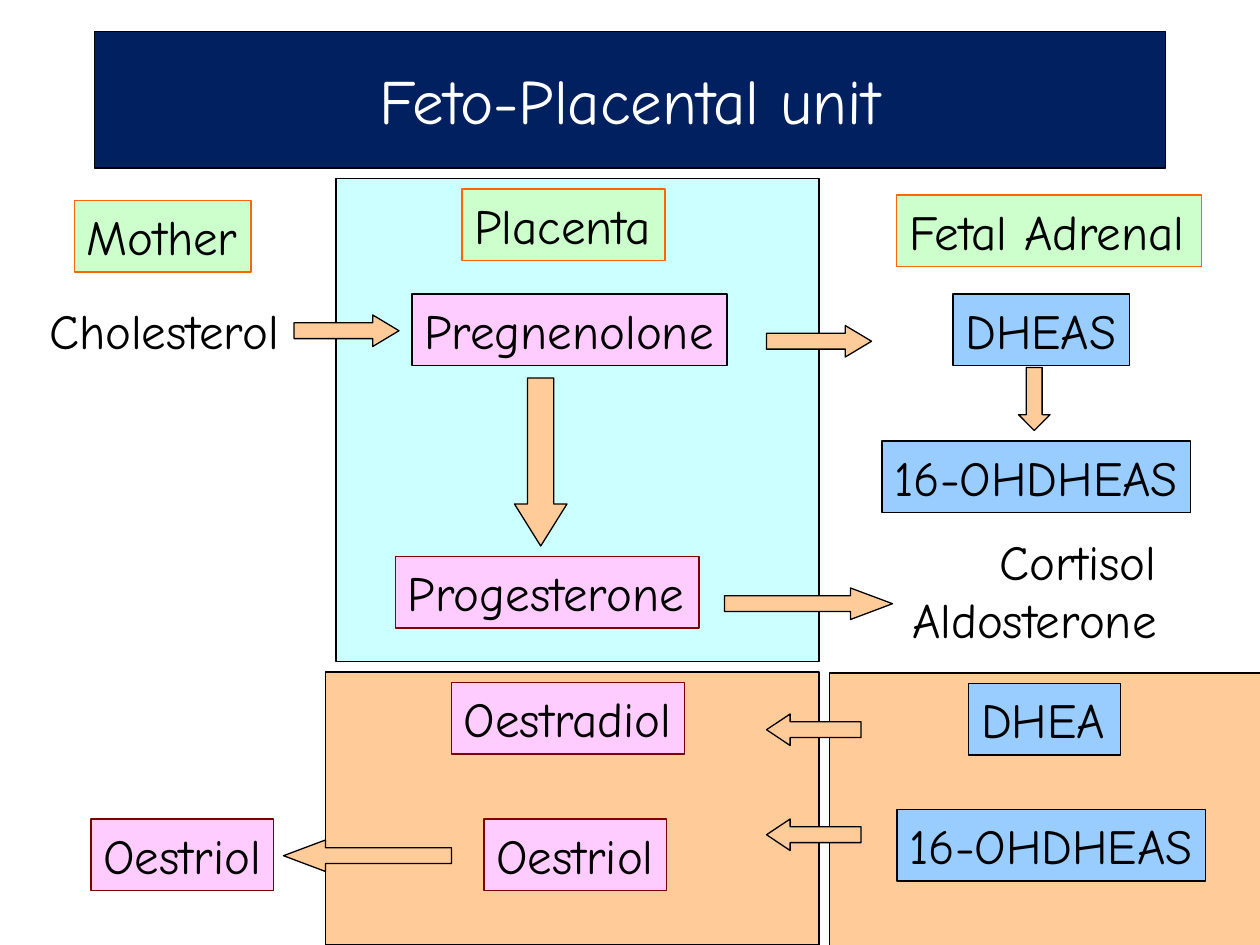
from dataclasses import dataclass

from pptx import Presentation
from pptx.dml.color import RGBColor
from pptx.enum.shapes import MSO_SHAPE
from pptx.enum.text import MSO_ANCHOR, MSO_AUTO_SIZE, PP_ALIGN
from pptx.util import Pt

RECT = MSO_SHAPE.RECTANGLE
RIGHT, LEFT, DOWN = MSO_SHAPE.RIGHT_ARROW, MSO_SHAPE.LEFT_ARROW, MSO_SHAPE.DOWN_ARROW
ALIGN_LEFT, ALIGN_CENTER, ALIGN_RIGHT = PP_ALIGN.LEFT, PP_ALIGN.CENTER, PP_ALIGN.RIGHT
TOP, MIDDLE = MSO_ANCHOR.TOP, MSO_ANCHOR.MIDDLE
NO_FIT, GROW = MSO_AUTO_SIZE.NONE, MSO_AUTO_SIZE.SHAPE_TO_FIT_TEXT


@dataclass(frozen=True)
class Theme:
    """Colours, type and line sizes of the slide."""
    font: str = "Comic Neue"
    title_size: int = 36
    label_size: int = 28
    label_height: int = 41
    line_width: float = 0.75
    black: str = "000000"
    white: str = "FFFFFF"
    navy: str = "002060"
    peach: str = "FFCC99"
    aqua: str = "CCFFFF"
    green: str = "CCFFCC"
    orange: str = "FF6600"
    blue: str = "99CCFF"
    pink: str = "FFCCFF"
    maroon: str = "800000"


T = Theme()
HEADING = {"fill": T.green, "line": T.orange}
FETAL = {"fill": T.blue, "line": T.black}
PRECURSOR = {"fill": T.pink, "line": T.black}
HORMONE = {"fill": T.pink, "line": T.maroon}


def paint(sp, fill, line):
    """Give a shape its fill and outline."""
    sp.fill.solid()
    sp.fill.fore_color.rgb = RGBColor.from_string(fill)
    sp.line.color.rgb = RGBColor.from_string(line)
    sp.line.width = Pt(T.line_width)


def write(tf, text, size=T.label_size, color=T.black, align=ALIGN_LEFT,
          anchor=TOP, wrap=False, fit=GROW):
    """Write text into a frame, one paragraph per line."""
    tf.text = text
    tf.word_wrap, tf.auto_size, tf.vertical_anchor = wrap, fit, anchor
    for p in tf.paragraphs:
        p.alignment = align
        for r in p.runs:
            r.font.name, r.font.size = T.font, Pt(size)
            r.font.color.rgb = RGBColor.from_string(color)


def add_block(slide, kind, box, fill):
    """Add a black-outlined preset shape."""
    sp = slide.shapes.add_shape(kind, *map(Pt, box))
    sp.shadow.inherit = False
    paint(sp, fill, T.black)
    return sp


def add_arrow(slide, kind, box):
    """Add a block arrow whose head takes a quarter of its length."""
    sp = add_block(slide, kind, box, T.peach)
    sides = box[2:]
    sp.adjustments[0] = 0.5
    sp.adjustments[1] = max(sides) / 4 / min(sides)


def add_labels(slide, box, labels):
    """Place labels given as text, offset x, offset y, width and style."""
    for text, dx, dy, width, style in labels:
        sp = slide.shapes.add_textbox(Pt(box[0] + dx), Pt(box[1] + dy),
                                      Pt(width), Pt(T.label_height))
        if style:
            paint(sp, **style)
        write(sp.text_frame, text)


def title_bar(slide, box):
    """Set the title in a dark bar."""
    sp = slide.shapes.title
    sp.left, sp.top, sp.width, sp.height = map(Pt, box)
    paint(sp, T.navy, T.black)
    write(sp.text_frame, "Feto-Placental unit", size=T.title_size, color=T.white,
          align=ALIGN_CENTER, anchor=MIDDLE, wrap=True, fit=NO_FIT)


def mother(slide, box):
    """Fill the mother column."""
    add_labels(slide, box, [
        ("Mother", 42.5, 12.5, 101, HEADING),
        ("Cholesterol", 21, 66, 147, None),
        ("Oestriol", 52, 366, 104.5, HORMONE),
    ])


def placenta(slide, box):
    """Draw the placenta panel and its hormone pathway."""
    add_block(slide, RECT, box, T.aqua)
    add_labels(slide, box, [
        ("Placenta", 72, 6, 116, HEADING),
        ("Pregnenolone", 43.5, 66, 180, PRECURSOR),
        ("Progesterone", 34, 216, 173.5, HORMONE),
    ])
    add_arrow(slide, DOWN, (box[0] + 102, box[1] + 114, 30, 96))


def placental_oestrogens(slide, box):
    """Draw the panel of oestrogens made in the placenta."""
    add_block(slide, RECT, box, T.peach)
    add_labels(slide, box, [
        ("Oestradiol", 72, 6, 133, HORMONE),
        ("Oestriol", 90.5, 84, 104.5, HORMONE),
    ])


def fetal_adrenal(slide, box):
    """Fill the fetal adrenal column."""
    x, y = box[:2]
    add_labels(slide, box, [
        ("Fetal Adrenal", 38.5, 9.5, 174, HEADING),
        ("DHEAS", 70.5, 66, 101, FETAL),
        ("16-OHDHEAS", 30, 150, 176.5, FETAL),
    ])
    add_arrow(slide, DOWN, (x + 108, y + 108, 18, 36))
    sp = slide.shapes.add_textbox(Pt(x + 38.5), Pt(y + 198), Pt(155.5), Pt(75))
    write(sp.text_frame, "Cortisol\nAldosterone", align=ALIGN_RIGHT)


def fetal_precursors(slide, box):
    """Draw the panel of fetal oestrogen precursors."""
    add_block(slide, RECT, box, T.peach)
    add_labels(slide, box, [
        ("DHEA", 79.5, 6, 87, FETAL),
        ("16-OHDHEAS", 38.5, 78, 176.5, FETAL),
    ])


def exchanges(slide, box):
    """Draw the arrows that cross between columns."""
    for kind, dx, dy, length in [
        (RIGHT, 168, 78, 60), (RIGHT, 438, 84, 60), (RIGHT, 414, 234, 96),
        (LEFT, 438, 306, 54), (LEFT, 438, 366, 54), (LEFT, 162, 378, 96),
    ]:
        add_arrow(slide, kind, (box[0] + dx, box[1] + dy, length, 18))


def main():
    """Build and save the slide."""
    prs = Presentation()
    prs.slide_width, prs.slide_height = Pt(720), Pt(540)
    slide = prs.slides.add_slide(prs.slide_layouts[5])
    title_bar(slide, (54, 18, 612, 78))
    fetal_precursors(slide, (474, 384.5, 252, 156))
    placental_oestrogens(slide, (186, 384, 282, 156))
    placenta(slide, (192, 102, 276, 276))
    mother(slide, (0, 102, 186, 438))
    fetal_adrenal(slide, (474, 102, 246, 276))
    exchanges(slide, (0, 102, 720, 438))
    prs.save("out.pptx")


if __name__ == "__main__":
    main()
